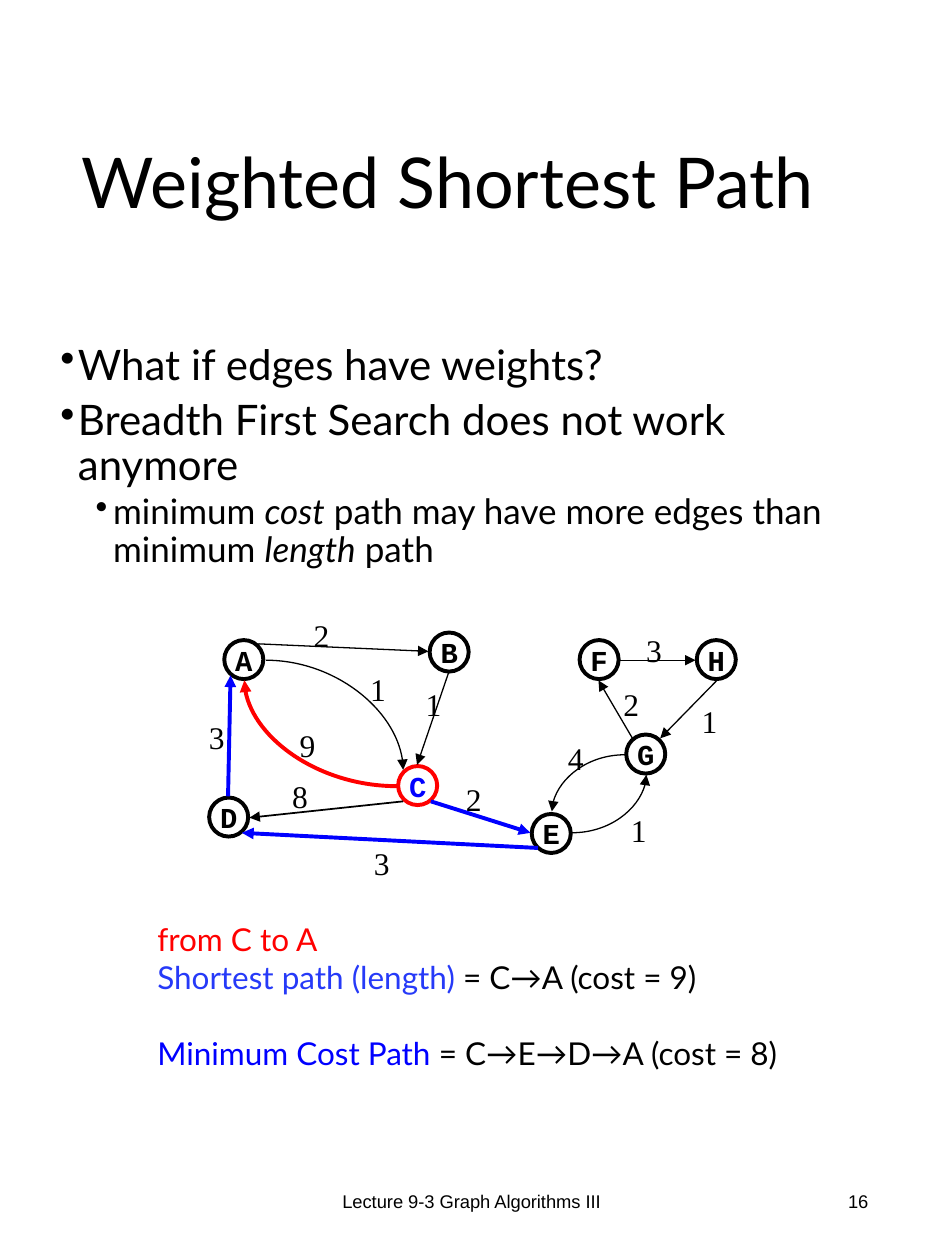
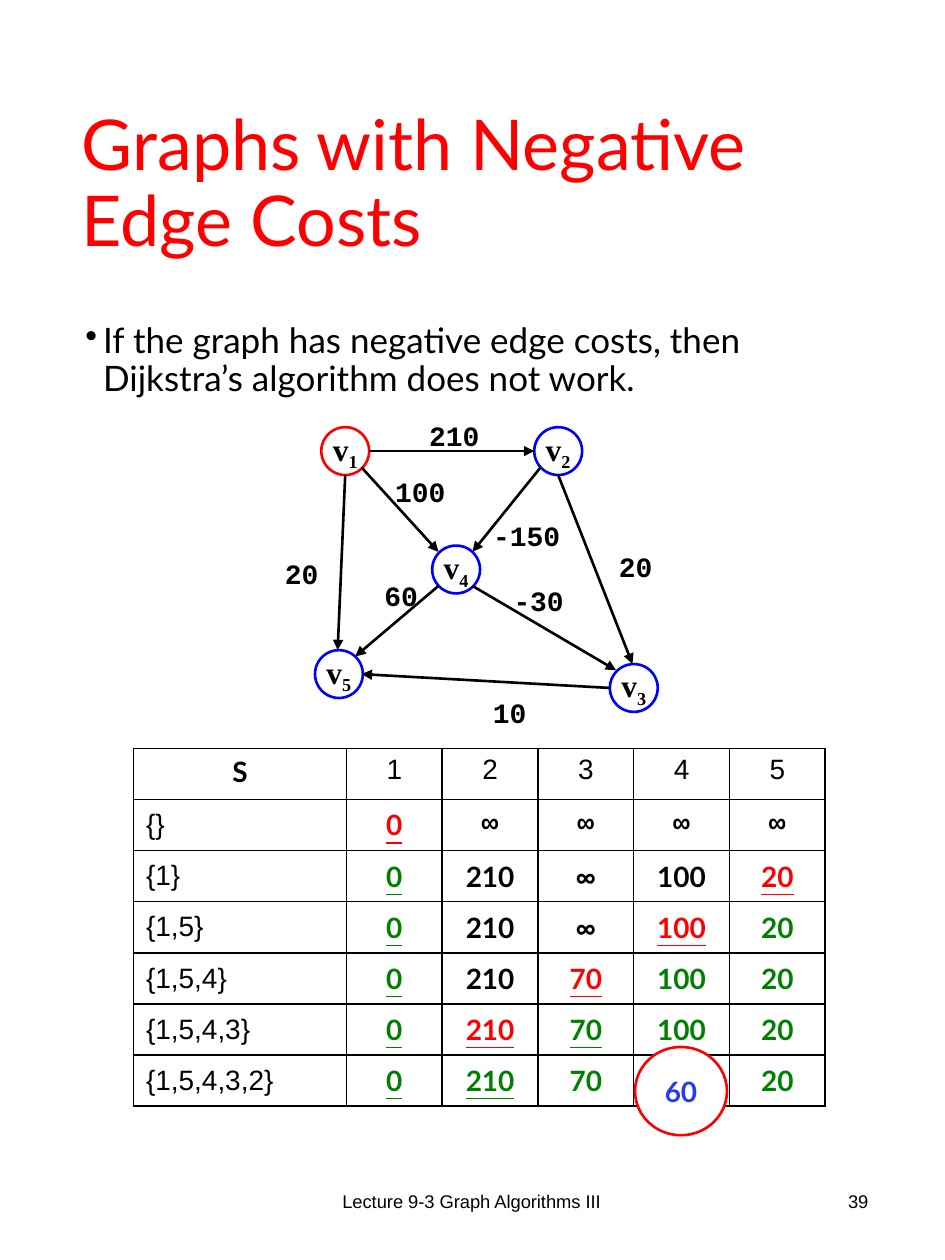
from lxml.etree import SubElement
from pptx import Presentation
from pptx.dml.color import RGBColor
from pptx.enum.shapes import MSO_CONNECTOR, MSO_SHAPE
from pptx.enum.text import MSO_ANCHOR, MSO_AUTO_SIZE, PP_ALIGN
from pptx.oxml.ns import qn
from pptx.util import Inches, Pt

BLACK = RGBColor(0x00, 0x00, 0x00)
WHITE = RGBColor(0xFF, 0xFF, 0xFF)
RED = RGBColor(0xFF, 0x00, 0x00)
BLUE = RGBColor(0x00, 0x00, 0xFF)
BRIGHT_BLUE = RGBColor(0x26, 0x3A, 0xF8)
GREEN = RGBColor(0x00, 0x80, 0x00)

LATO = "Lato"
ARIAL = "Arial"
COURIER = "Courier New"
TIMES = "Times New Roman"


def set_text(frame, paragraphs, font_name, size, color=BLACK, bold=False, align=PP_ALIGN.LEFT):
    """Fill a text frame; each paragraph is a list of run texts."""
    for index, run_texts in enumerate(paragraphs):
        paragraph = frame.add_paragraph() if index else frame.paragraphs[0]
        paragraph.alignment = align
        for run_text in run_texts:
            run = paragraph.add_run()
            run.text = run_text
            run.font.name = font_name
            run.font.size = Pt(size)
            run.font.color.rgb = color
            run.font.bold = bold


def add_arrow(slide, start, end, color=BLACK, width=0.75, curved=False):
    """Draw an arrow; a curved one leaves sideways and arrives vertically."""
    kind = MSO_CONNECTOR.CURVE if curved else MSO_CONNECTOR.STRAIGHT
    points = [Inches(value) for value in (*start, *end)]
    connector = slide.shapes.add_connector(kind, *points)
    connector.line.color.rgb = color
    connector.line.width = Pt(width)
    properties = connector._element.spPr
    if curved:
        properties.find(qn("a:prstGeom")).set("prst", "curvedConnector2")
    SubElement(properties.find(qn("a:ln")), qn("a:tailEnd"), type="triangle")
    SubElement(properties, qn("a:effectLst"))


presentation = Presentation()
presentation.slide_width = Inches(7.5)
presentation.slide_height = Inches(10)

# Titles, footers and bulleted text
slide_contents = [
    ("Weighted Shortest Path", BLACK, "16", (0.38, 2.68, 6.75, 2.17), 24, [
        ["What if edges have weights?"],
        ["Breadth First Search does not work anymore"],
        ["minimum ", "cost", " path may have more edges than minimum ", "length", " path"],
    ]),
    ("Graphs with Negative Edge Costs", RED, "39", (0.58, 2.52, 6.38, 1.11), 20, [
        ["If the graph has negative edge costs, then Dijkstra’s algorithm does not work."],
    ]),
]
bodies = []
for title_text, title_color, number, body_box, body_size, bullets in slide_contents:
    slide = presentation.slides.add_slide(presentation.slide_layouts[5])

    title = slide.shapes.title
    title.left, title.top = Inches(0.55), Inches(0.51)
    title.width, title.height = Inches(6.47), Inches(1.93)
    title.text_frame.auto_size = MSO_AUTO_SIZE.NONE
    title.text_frame.vertical_anchor = MSO_ANCHOR.MIDDLE
    set_text(title.text_frame, [[title_text]], LATO, 40, title_color)
    title.text_frame.paragraphs[0].line_spacing = 0.9

    for left, width, text, align in [
        (2.48, 2.53, "Lecture 9-3 Graph Algorithms III", PP_ALIGN.CENTER),
        (5.3, 1.69, number, PP_ALIGN.RIGHT),
    ]:
        footer = slide.shapes.add_textbox(Inches(left), Inches(9.27), Inches(width), Inches(0.53))
        footer.text_frame.word_wrap = True
        footer.text_frame.vertical_anchor = MSO_ANCHOR.MIDDLE
        set_text(footer.text_frame, [[text]], ARIAL, 10.5, align=align)

    body = slide.shapes.add_textbox(*[Inches(value) for value in body_box])
    body.text_frame.word_wrap = True
    set_text(body.text_frame, bullets, LATO, body_size)
    for index, paragraph in enumerate(body.text_frame.paragraphs):
        is_detail = index == 2
        paragraph.level = 1 if is_detail else 0
        paragraph.line_spacing = 0.9
        if index:
            paragraph.space_before = Pt(2.8 if is_detail else 5.7)
        properties = paragraph._p.get_or_add_pPr()
        properties.set("marL", str(Inches(0.42 if is_detail else 0.14)))
        properties.set("indent", str(Inches(-0.14)))
        SubElement(properties, qn("a:buChar"), char="•")
    bodies.append(body)

weighted_slide, negative_slide = presentation.slides

detail = bodies[0].text_frame.paragraphs[2]
for index, run in enumerate(detail.runs):
    run.font.size = Pt(20)
    run.font.italic = index in (1, 3)

# Graph nodes: slide, diameter, fill, line width, font, size, nodes
graphs = [
    (weighted_slide, 0.31, WHITE, 2.25, COURIER, 16.5, [
        (["A"], 1.78, 5.08, BLACK, BLACK),
        (["C"], 3.16, 6.08, RED, BLUE),
        (["B"], 3.41, 5.02, BLACK, BLACK),
        (["D"], 1.66, 6.33, BLACK, BLACK),
        (["F"], 4.6, 5.08, BLACK, BLACK),
        (["H"], 5.53, 5.08, BLACK, BLACK),
        (["G"], 4.97, 5.83, BLACK, BLACK),
        (["E"], 4.22, 6.46, BLACK, BLACK),
    ]),
    (negative_slide, 0.38, None, 1.5, TIMES, 18, [
        (["v", "1"], 2.55, 3.39, RED, BLACK),
        (["v", "2"], 4.24, 3.39, BLUE, BLACK),
        (["v", "3"], 4.84, 5.27, BLUE, BLACK),
        (["v", "4"], 3.43, 4.33, BLUE, BLACK),
        (["v", "5"], 2.5, 5.16, BLUE, BLACK),
    ]),
]
for slide, diameter, fill, line_width, font_name, size, nodes in graphs:
    for name, left, top, line_color, text_color in nodes:
        node = slide.shapes.add_shape(
            MSO_SHAPE.OVAL, Inches(left), Inches(top), Inches(diameter), Inches(diameter))
        node.shadow.inherit = False
        if fill is None:
            node.fill.background()
        else:
            node.fill.solid()
            node.fill.fore_color.rgb = fill
        node.line.color.rgb = line_color
        node.line.width = Pt(line_width)
        frame = node.text_frame
        frame.word_wrap = False
        frame.vertical_anchor = MSO_ANCHOR.MIDDLE
        frame.margin_left = frame.margin_right = frame.margin_top = frame.margin_bottom = 0
        set_text(frame, [name], font_name, size, text_color, True, PP_ALIGN.CENTER)
        for subscript in frame.paragraphs[0].runs[1:]:
            subscript._r.get_or_add_rPr().set("baseline", "-25000")

# Edges of the weighted graph
for start, end, color, width in [
    ((2.11, 5.24), (3.2, 6.11), BLACK, 0.75),
    ((3.15, 6.24), (1.94, 5.4), RED, 2.25),
    ((4.96, 5.99), (4.38, 6.44), BLACK, 0.75),
    ((4.54, 6.61), (5.13, 6.15), BLACK, 0.75),
]:
    add_arrow(weighted_slide, start, end, color, width, curved=True)

for start, end in [
    ((2.05, 5.11), (3.4, 5.17)),
    ((3.56, 5.34), (3.31, 6.07)),
    ((5.02, 5.86), (4.75, 5.4)),
    ((4.92, 5.24), (5.52, 5.24)),
    ((5.69, 5.4), (5.24, 5.86)),
]:
    add_arrow(weighted_slide, start, end)
add_arrow(weighted_slide, (3.2, 6.36), (1.98, 6.49), width=1)

minimum_cost_edges = [
    ((3.42, 6.36), (4.21, 6.61)),
    ((4.27, 6.73), (1.92, 6.61)),
    ((1.81, 6.32), (1.83, 5.36)),
]
for start, end in minimum_cost_edges:
    add_arrow(weighted_slide, start, end, BLUE, 2.25)

# Edges of the graph with negative costs
for start, end in [
    ((2.93, 3.58), (4.24, 3.58)),
    ((4.43, 3.77), (5.02, 5.27)),
    ((2.87, 3.71), (3.48, 4.38)),
    ((4.29, 3.71), (3.75, 4.38)),
    ((2.74, 3.77), (2.68, 5.16)),
    ((3.48, 4.65), (2.82, 5.21)),
    ((4.84, 5.46), (2.87, 5.35)),
    ((3.75, 4.65), (4.89, 5.32)),
]:
    add_arrow(negative_slide, start, end, width=1.5)

# Edge weights: label, left, top, width
weights = [
    (weighted_slide, 0.4, TIMES, 18, False, PP_ALIGN.LEFT, [
        ("2", 2.39, 4.84, 0.33), ("3", 5.03, 4.96, 0.33), ("2", 4.85, 5.39, 0.33),
        ("1", 5.47, 5.52, 0.33), ("1", 4.91, 6.39, 0.33), ("4", 4.41, 5.82, 0.33),
        ("2", 3.6, 6.14, 0.33), ("1", 3.28, 5.39, 0.33), ("1", 2.84, 5.27, 0.33),
        ("9", 2.28, 5.71, 0.33), ("3", 1.56, 5.65, 0.33), ("8", 2.22, 6.12, 0.33),
        ("3", 2.87, 6.65, 0.33),
    ]),
    (negative_slide, 0.37, COURIER, 16, True, PP_ALIGN.CENTER, [
        ("20", 2.16, 4.37, 0.47), ("100", 3.03, 3.72, 0.61), ("210", 3.3, 3.27, 0.61),
        ("20", 4.81, 4.31, 0.47), ("-150", 3.81, 4.07, 0.74), ("60", 2.95, 4.54, 0.47),
        ("10", 3.81, 5.47, 0.47), ("-30", 3.97, 4.58, 0.61),
    ]),
]
for slide, height, font_name, size, bold, align, labels in weights:
    for text, left, top, width in labels:
        label = slide.shapes.add_textbox(Inches(left), Inches(top), Inches(width), Inches(height))
        label.text_frame.word_wrap = False
        label.text_frame.auto_size = MSO_AUTO_SIZE.SHAPE_TO_FIT_TEXT
        set_text(label.text_frame, [[text]], font_name, size, BLACK, bold, align)

# Path comparison
answer = weighted_slide.shapes.add_textbox(Inches(1.15), Inches(7.25), Inches(5.68), Inches(1.31))
answer.text_frame.word_wrap = True
set_text(answer.text_frame, [
    ["from C to A"],
    ["Shortest path (length) ", "= C→A (cost = 9)"],
    ["Minimum Cost Path ", "= C→E→D→A (cost = 8)"],
], LATO, 18)
for paragraph, color in zip(answer.text_frame.paragraphs, [RED, BRIGHT_BLUE, BLUE]):
    paragraph.runs[0].font.color.rgb = color
answer.text_frame.paragraphs[2].space_before = Pt(22)

# Distance table: the vertex picked in a row is red, earlier ones are green
distances = [
    ["S", "1", "2", "3", "4", "5"],
    ["{}", "0", "∞", "∞", "∞", "∞"],
    ["{1}", "0", "210", "∞", "100", "20"],
    ["{1,5}", "0", "210", "∞", "100", "20"],
    ["{1,5,4}", "0", "210", "70", "100", "20"],
    ["{1,5,4,3}", "0", "210", "70", "100", "20"],
    ["{1,5,4,3,2}", "0", "210", "70", "100", "20"],
]
pick_order = [1, 5, 4, 3, 2]
underlined_green = {(5, 3), (6, 2)}

table = negative_slide.shapes.add_table(
    7, 6, Inches(1.06), Inches(5.94), Inches(5.49), Inches(2.84)).table
table.first_row = False
table.horz_banding = False
for index, column in enumerate(table.columns):
    column.width = Inches(0.76 if index else 1.69)

for row, values in enumerate(distances):
    for column, value in enumerate(values):
        cell = table.cell(row, column)
        cell_properties = cell._tc.get_or_add_tcPr()
        for side in ("lnL", "lnR", "lnT", "lnB"):
            border = SubElement(cell_properties, qn(f"a:{side}"), w=str(Pt(1)))
            border_fill = SubElement(border, qn("a:solidFill"))
            SubElement(border_fill, qn("a:srgbClr"), val=str(BLACK))
        cell.fill.solid()
        cell.fill.fore_color.rgb = WHITE
        cell.vertical_anchor = MSO_ANCHOR.MIDDLE if row else MSO_ANCHOR.TOP

        is_distance = row > 0 and column > 0
        is_picked = is_distance and column in pick_order[row - 1:row]
        is_known = is_distance and column in pick_order[:row - 1]
        color = RED if is_picked else GREEN if is_known else BLACK
        bold = is_distance or value == "S"
        font_name = LATO if bold else ARIAL
        if row == 1 and value == "∞":
            font_name = COURIER
        align = PP_ALIGN.LEFT if row and not column else PP_ALIGN.CENTER
        set_text(cell.text_frame, [[value]], font_name, 16, color, bold, align)
        if is_picked or (is_distance and column == 1) or (row, column) in underlined_green:
            cell.text_frame.paragraphs[0].runs[0].font.underline = True

better_cost = negative_slide.shapes.add_shape(
    MSO_SHAPE.OVAL, Inches(5.04), Inches(8.31), Inches(0.73), Inches(0.7))
better_cost.shadow.inherit = False
better_cost.fill.solid()
better_cost.fill.fore_color.rgb = WHITE
better_cost.line.color.rgb = RED
better_cost.line.width = Pt(1.5)
better_cost.text_frame.vertical_anchor = MSO_ANCHOR.MIDDLE
set_text(better_cost.text_frame, [["60"]], LATO, 16, BRIGHT_BLUE, True, PP_ALIGN.CENTER)

presentation.save("out.pptx")
